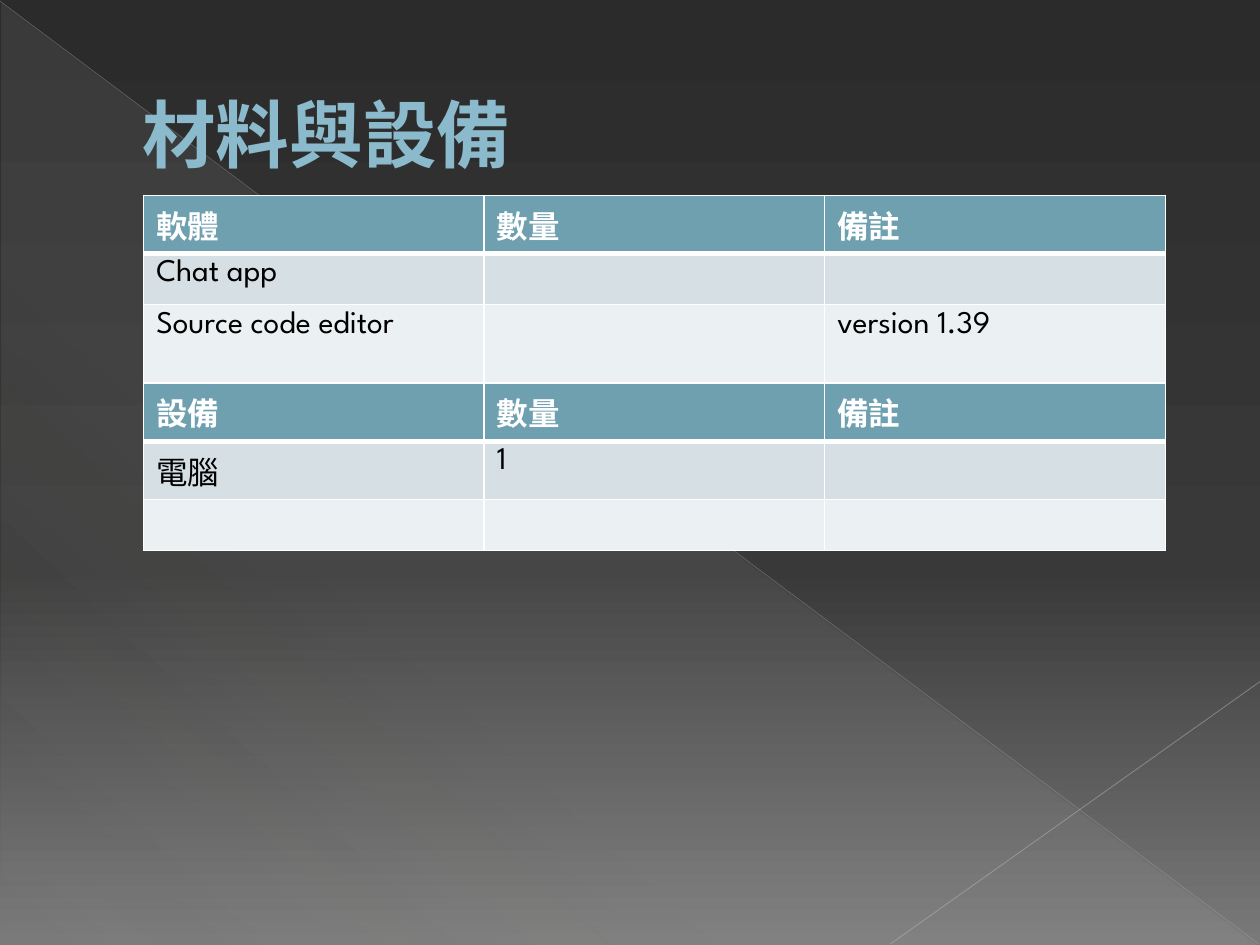
from lxml.etree import SubElement
from pptx import Presentation
from pptx.dml.color import RGBColor
from pptx.enum.lang import MSO_LANGUAGE_ID
from pptx.enum.shapes import MSO_CONNECTOR, MSO_SHAPE
from pptx.enum.text import MSO_ANCHOR, PP_ALIGN
from pptx.oxml.ns import qn
from pptx.util import Pt

TITLE = "材料與設備"

# Each table: top, row heights and rows, header first.
TABLES = [
    (111.6, (29.2, 29.2, 72), [
        ("軟體", "數量", "備註"),
        ("Chat app", "", ""),
        ("Source code editor", "", "version 1.39"),
    ]),
    (218.9, (29.2, 29.2, 29.2), [
        ("設備", "數量", "備註"),
        ("電腦", "1", ""),
        ("", "", ""),
    ]),
]
TABLE_LEFT, COLUMN_WIDTH = 82.1, 194.6

# Gradient stops: position, colour, opacity, all but the colour in percent.
BACKDROP = [(0, "2B2B2B", 100), (60, "393939", 100), (100, "797979", 100)]
SHEEN = [(0, "D4D2D0", 10), (70, "D4D2D0", 8), (100, "D4D2D0", 1)]

# Background lines: start, end, colour, width, opacity.
RAYS = [
    ((0, 0.7), (719.3, 539.3), "B7B7B7", 0.39, 35),
    ((720, 389.5), (509, 539.3), "BFBFBF", 0.47, 45),
]


class Theme:
    font = "League Spartan"
    title_size, cell_size = 42, 18
    title, title_outline = "8ABACB", "4C6F7A"
    header, bands = "6EA0B0", ("D5DFE4", "EBF0F2")
    header_text, body_text = "FFFFFF", "000000"
    border, border_width, header_rule = "FFFFFF", 1, 3


def add_color(parent, color, opacity=100):
    node = SubElement(parent, qn("a:srgbClr"), val=color)
    if opacity < 100:
        SubElement(node, qn("a:alpha"), val=str(opacity * 1000))


def set_gradient(fill, element, stops, clockwise):
    fill.gradient()
    fill.gradient_angle = 360 - clockwise
    stop_list = element.xpath(".//a:gradFill/a:gsLst")[0]
    for old_stop in list(stop_list):
        stop_list.remove(old_stop)
    for position, color, opacity in stops:
        stop = SubElement(stop_list, qn("a:gs"), pos=str(position * 1000))
        add_color(stop, color, opacity)


def add_span(para, text, size, color, bold):
    span = para.add_run()
    span.text = text
    span.font.name = Theme.font
    span.font.size = Pt(size)
    span.font.bold = bold
    span.font.color.rgb = RGBColor.from_string(color)
    if not text.isascii():
        span.font.language_id = MSO_LANGUAGE_ID.TRADITIONAL_CHINESE
    return span


def add_sheen(page):
    sheen = page.shapes.add_shape(
        MSO_SHAPE.RIGHT_TRIANGLE, Pt(0.7), Pt(1.4), Pt(718.6), Pt(538.6))
    sheen.shadow.inherit = False
    sheen.line.fill.background()
    set_gradient(sheen.fill, sheen.element, SHEEN, 133)


def add_ray(page, start, end, color, width, opacity):
    ray = page.shapes.add_connector(
        MSO_CONNECTOR.STRAIGHT, *(Pt(value) for value in start + end))
    ray.line.width = Pt(width)
    ray.line.color.rgb = RGBColor.from_string(color)
    tint = ray.element.xpath(".//a:ln//a:srgbClr")[0]
    SubElement(tint, qn("a:alpha"), val=str(opacity * 1000))
    SubElement(ray.element.spPr, qn("a:effectLst"))


def format_title(page):
    title = page.shapes.title
    title.left, title.top, title.width, title.height = Pt(36), Pt(20.9), Pt(648), Pt(110.2)
    frame = title.text_frame
    frame.word_wrap = True
    frame.vertical_anchor = MSO_ANCHOR.MIDDLE
    para = frame.paragraphs[0]
    para.alignment = PP_ALIGN.LEFT
    span = add_span(para, TITLE, Theme.title_size, Theme.title, True)
    properties = para._p.get_or_add_pPr()
    properties.set("marL", str(Pt(38.2)))
    properties.set("indent", "0")
    run_properties = span.font._element
    outline = SubElement(run_properties, qn("a:ln"), w=str(Pt(0.5)))
    add_color(SubElement(outline, qn("a:solidFill")), Theme.title_outline)
    run_properties.insert(0, outline)
    page.shapes.element.append(title.element)  # in front of the background


def set_borders(cell, is_header):
    properties = cell._tc.get_or_add_tcPr()
    for side in "LRTB":
        thick = is_header and side == "B"
        width = Theme.header_rule if thick else Theme.border_width
        border = SubElement(properties, qn(f"a:ln{side}"), w=str(Pt(width)))
        add_color(SubElement(border, qn("a:solidFill")), Theme.border)


def add_table(page, top, heights, rows):
    columns = len(rows[0])
    table = page.shapes.add_table(
        len(rows), columns, Pt(TABLE_LEFT), Pt(top),
        Pt(COLUMN_WIDTH * columns), Pt(sum(heights))).table
    for column in table.columns:
        column.width = Pt(COLUMN_WIDTH)
    for r, (height, texts) in enumerate(zip(heights, rows)):
        table.rows[r].height = Pt(height)
        is_header = r == 0
        fill = Theme.header if is_header else Theme.bands[(r - 1) % 2]
        color = Theme.header_text if is_header else Theme.body_text
        for c, text in enumerate(texts):
            cell = table.cell(r, c)
            set_borders(cell, is_header)
            cell.fill.solid()
            cell.fill.fore_color.rgb = RGBColor.from_string(fill)
            if text:
                add_span(cell.text_frame.paragraphs[0], text, Theme.cell_size, color, is_header)


def main():
    deck = Presentation()
    deck.slide_width, deck.slide_height = Pt(720), Pt(540)
    page = deck.slides.add_slide(deck.slide_layouts[5])
    set_gradient(page.background.fill, page.element, BACKDROP, 90)
    add_sheen(page)
    for ray in RAYS:
        add_ray(page, *ray)
    format_title(page)
    for table in TABLES:
        add_table(page, *table)
    deck.save("out.pptx")


if __name__ == "__main__":
    main()
